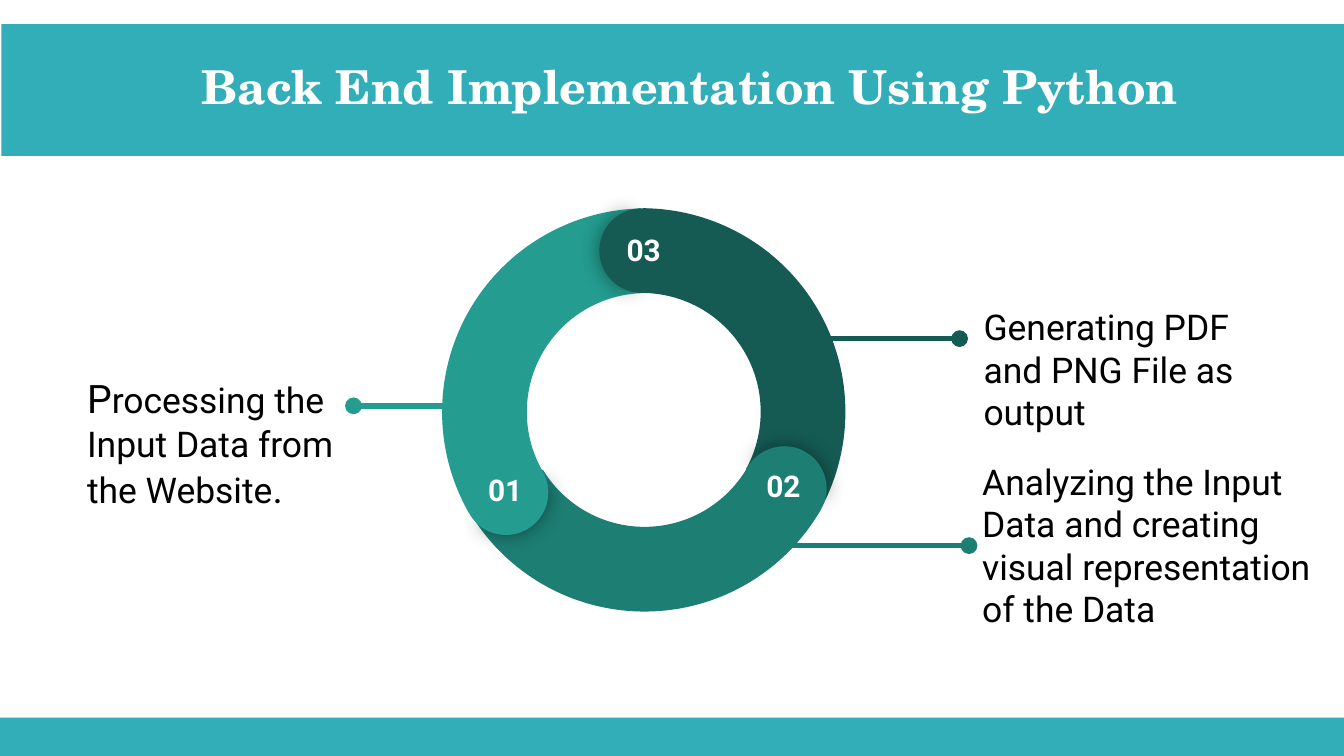
from lxml import etree
from pptx import Presentation
from pptx.dml.color import RGBColor
from pptx.enum.shapes import MSO_CONNECTOR, MSO_SHAPE
from pptx.enum.text import MSO_ANCHOR, PP_ALIGN
from pptx.oxml.ns import qn
from pptx.util import Inches, Pt

RECTANGLE, BLOCK_ARC, PIE = MSO_SHAPE.RECTANGLE, MSO_SHAPE.BLOCK_ARC, MSO_SHAPE.PIE
STRAIGHT = MSO_CONNECTOR.STRAIGHT
TOP, MIDDLE = MSO_ANCHOR.TOP, MSO_ANCHOR.MIDDLE
CENTER, LEFT = PP_ALIGN.CENTER, PP_ALIGN.LEFT

COLORS = {
    "band": "32AEB8",
    "light": "249C90",
    "medium": "1D7E74",
    "dark": "155B54",
    "white": "FFFFFF",
    "black": "000000",
}

presentation = Presentation()
presentation.slide_width = Inches(10)
presentation.slide_height = Inches(10) * 9 // 16
slide = presentation.slides.add_slide(presentation.slide_layouts[5])


def add_filled(kind, box, color, rotation=0, adjustments=()):
    shape = slide.shapes.add_shape(kind, *[Inches(value) for value in box])
    shape.shadow.inherit = False
    shape.fill.solid()
    shape.fill.fore_color.rgb = RGBColor.from_string(COLORS[color])
    shape.line.fill.background()
    shape.rotation = rotation
    for index, value in enumerate(adjustments):
        shape.adjustments[index] = value
    return shape


def format_text(shape, text, size, color, anchor, alignment, font_name="Roboto", bold=False):
    frame = shape.text_frame
    frame.word_wrap = True
    frame.vertical_anchor = anchor
    frame.margin_left = frame.margin_right = Inches(0.1)
    frame.margin_top = frame.margin_bottom = Inches(0.1)
    paragraph = frame.paragraphs[0]
    paragraph.text = text
    paragraph.alignment = alignment
    paragraph.font.name = font_name
    paragraph.font.size = Pt(size)
    paragraph.font.bold = bold
    paragraph.font.color.rgb = RGBColor.from_string(COLORS[color])
    return paragraph


add_filled(RECTANGLE, (0.01, 0.18, 9.99, 0.98), "band")

leaders = [
    (3.32, 2.63, 3.02, "light"),
    (5.74, 7.14, 2.52, "dark"),
    (5.8, 7.21, 4.06, "medium"),
]
for start, end, y, color in leaders:
    leader = slide.shapes.add_connector(
        STRAIGHT, Inches(start), Inches(y), Inches(end), Inches(y))
    leader.line.color.rgb = RGBColor.from_string(COLORS[color])
    leader.line.width = Pt(3)
    outline = leader.element.spPr.find(qn("a:ln"))
    etree.SubElement(outline, qn("a:tailEnd"), type="oval")
    etree.SubElement(leader.element.spPr, qn("a:effectLst"))

arcs = [
    (3.26, 1.55, 60, "dark"),
    (3.28, 1.52, 180, "medium"),
    (3.29, 1.55, 300, "light"),
]
for left, top, rotation, color in arcs:
    add_filled(BLOCK_ARC, (left, top, 3.03, 3.03), color, rotation, (126.23, 197.2, 0.208))

caps = [
    ("01", 3.45, 3.35, 240, "light", 3.48, 3.41),
    ("03", 4.46, 1.55, 0, "dark", 4.51, 1.62),
    ("02", 5.52, 3.32, 120, "medium", 5.55, 3.38),
]
for number, left, top, rotation, color, label_left, label_top in caps:
    box = (left, top, 0.63, 0.63)
    cap = add_filled(PIE, box, color, rotation + 0.6, (61.9, 149.96))
    effects = cap.element.spPr.find(qn("a:effectLst"))
    shadow = etree.SubElement(effects, qn("a:outerShdw"), blurRad=str(Pt(11.2)),
                              dist="0", dir="0", algn="ctr", rotWithShape="0")
    shadow_color = etree.SubElement(shadow, qn("a:srgbClr"), val=COLORS["black"])
    etree.SubElement(shadow_color, qn("a:alpha"), val="43000")
    add_filled(PIE, box, color, (rotation + 180) % 360, (40.28, 171.84))

for number, left, top, rotation, color, label_left, label_top in caps:
    label = slide.shapes.add_textbox(
        Inches(label_left), Inches(label_top), Inches(0.56), Inches(0.29))
    format_text(label, number, 16, "white", TOP, CENTER, bold=True)

descriptions = [
    (0.55, 2.59, 2.32, ""),
    (7.22, 2.04, 2.32, "Generating PDF and PNG File as output"),
    (7.21, 3.35, 2.68,
     "Analyzing the Input Data and creating visual representation of the Data"),
]
for left, top, width, text in descriptions:
    description = slide.shapes.add_textbox(
        Inches(left), Inches(top), Inches(width), Inches(1.41))
    paragraph = format_text(description, text, 19, "black", MIDDLE, LEFT)
    if not text:
        for part, size in [("P", 21), ("rocessing the Input Data from the Website", 19), (".", 21)]:
            run = paragraph.add_run()
            run.text = part
            run.font.size = Pt(size)

title = slide.shapes.title
title.left, title.top = Inches(1.09), Inches(0.33)
title.width, title.height = Inches(8.08), Inches(0.68)
format_text(title, "Back End Implementation Using Python", 25, "white", TOP, CENTER,
            "TeX Gyre Schola", True)
title.element.getparent().append(title.element)

add_filled(RECTANGLE, (0, 5.34, 10, 0.3), "band")

presentation.save("out.pptx")
